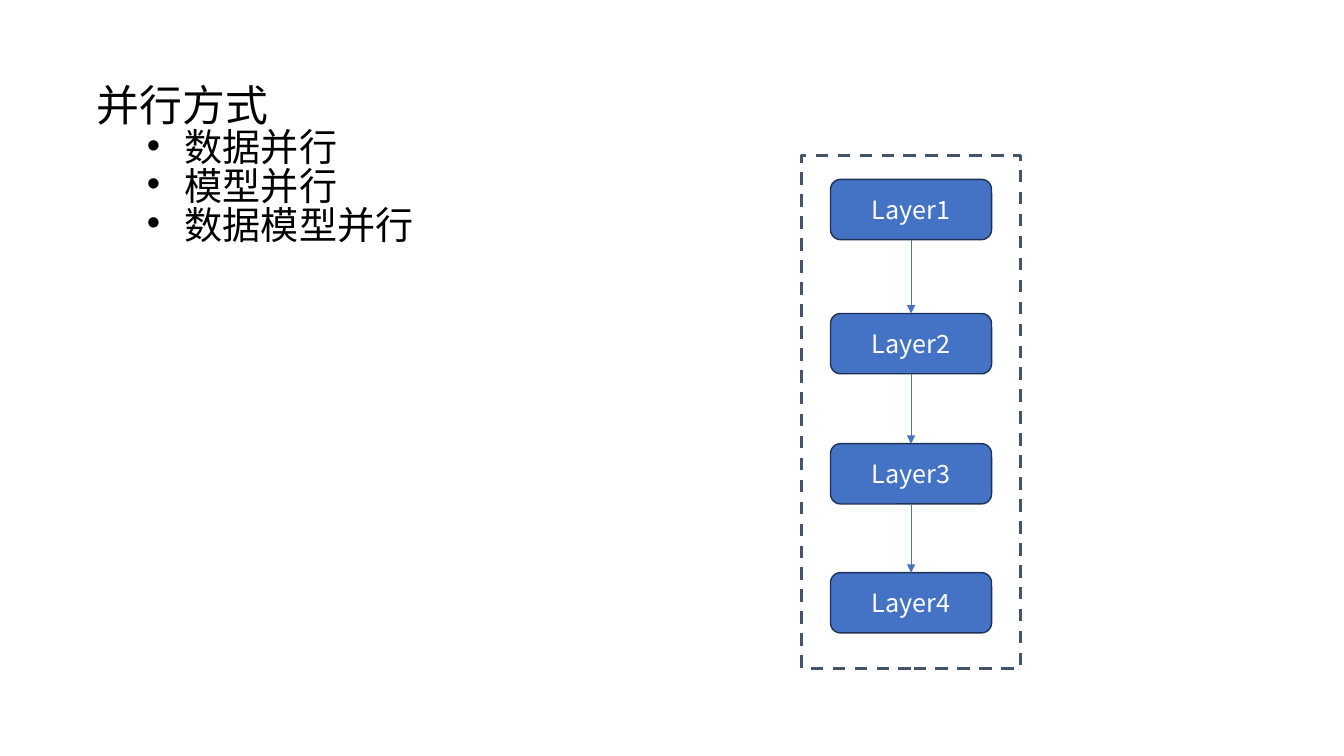
from dataclasses import dataclass

from lxml.etree import SubElement as Sub
from pptx import Presentation
from pptx.dml.color import RGBColor as Rgb
from pptx.enum.dml import MSO_LINE as Dash
from pptx.enum.shapes import MSO_CONNECTOR as Link, MSO_SHAPE as Kind
from pptx.enum.text import MSO_ANCHOR as Anchor, MSO_AUTO_SIZE as Fit, PP_ALIGN as Align
from pptx.oxml.ns import qn
from pptx.util import Cm, Pt


@dataclass(frozen=True)
class Theme:
    font: str = "Noto Sans CJK SC"
    ink: Rgb = Rgb(0, 0, 0)
    white: Rgb = Rgb(255, 255, 255)
    blue: Rgb = Rgb(0x44, 0x72, 0xC4)
    edge: Rgb = Rgb(0x1E, 0x32, 0x56)
    slate: Rgb = Rgb(0x44, 0x54, 0x6A)
    head: float = 30.6
    item: float = 27.2
    label: float = 18


theme = Theme()

# Layer stack, in centimetres
MID = 22.96
WIDE, HIGH = 4.06, 1.52
TOPS = (4.52, 7.9, 11.18, 14.43)


def write(para, text, size=theme.item, color=theme.ink, align=Align.LEFT, lines=1.0, before=0):
    """Add formatted text to a paragraph."""
    para.alignment = align
    para.line_spacing = lines
    para.space_before = Pt(before)
    run = para.add_run()
    run.text = text
    font = run.font
    font.name, font.size = theme.font, Pt(size)
    font.color.rgb = color
    Sub(font._element, qn("a:ea"), typeface=theme.font)


def indent(para, left=0.0, first=0.0, mark=None):
    """Set a paragraph's indents and its bullet, if any."""
    props = para._p.get_or_add_pPr()
    props.set("marL", str(Cm(left)))
    props.set("indent", str(Cm(first)))
    if mark:
        Sub(props, qn("a:buFont"), typeface="Arial")
        Sub(props, qn("a:buChar"), char=mark)
    else:
        Sub(props, qn("a:buNone"))


def outline(slide, head, items):
    """Fill the body placeholder with a heading and its list."""
    body = slide.placeholders[1]
    body.left, body.top, body.width, body.height = Cm(2.18), Cm(2.21), Cm(29.51), Cm(4.17)
    frame = body.text_frame
    frame.auto_size = Fit.NONE
    frame.vertical_anchor = Anchor.TOP
    first = frame.paragraphs[0]
    indent(first)
    write(first, head, size=theme.head, lines=0.7)
    for item in items:
        para = frame.add_paragraph()
        para.level = 1
        indent(para, left=2.22, first=-0.95, mark="•")
        write(para, item, lines=0.7, before=5)


def box(slide, kind, top, wide, high, line, width):
    """Draw an unfilled box centred on the stack axis."""
    shape = slide.shapes.add_shape(kind, Cm(MID - wide / 2), Cm(top), Cm(wide), Cm(high))
    shape.shadow.inherit = False
    shape.fill.background()
    shape.line.color.rgb = line
    shape.line.width = Pt(width)
    return shape


def layer(slide, text, top):
    shape = box(slide, Kind.ROUNDED_RECTANGLE, top, WIDE, HIGH, theme.edge, 1)
    shape.fill.solid()
    shape.fill.fore_color.rgb = theme.blue
    frame = shape.text_frame
    frame.vertical_anchor = Anchor.MIDDLE
    write(frame.paragraphs[0], text, size=theme.label, color=theme.white, align=Align.CENTER)


def arrow(slide, start, end):
    link = slide.shapes.add_connector(Link.STRAIGHT, Cm(MID), Cm(start), Cm(MID), Cm(end))
    link.line.color.rgb = theme.blue
    link.line.width = Pt(0.5)
    Sub(link.line._get_or_add_ln(), qn("a:tailEnd"), type="triangle")
    Sub(link._element.spPr, qn("a:effectLst"))


def main():
    deck = Presentation()
    deck.slide_width, deck.slide_height = Cm(33.87), Cm(19.05)
    slide = deck.slides.add_slide(deck.slide_layouts[1])
    title = slide.shapes.title._element
    title.getparent().remove(title)

    # Heading and list
    outline(slide, "并行方式", ("数据并行", "模型并行", "数据模型并行"))

    # Layers and the arrows between them
    for num, top in enumerate(TOPS, 1):
        layer(slide, f"Layer{num}", top)
    for top, below in zip(TOPS, TOPS[1:]):
        arrow(slide, top + HIGH, below)

    # Dashed frame around the stack
    frame = box(slide, Kind.RECTANGLE, 3.91, 5.51, 12.93, theme.slate, 2.25)
    frame.line.dash_style = Dash.DASH

    deck.save("out.pptx")


if __name__ == "__main__":
    main()
